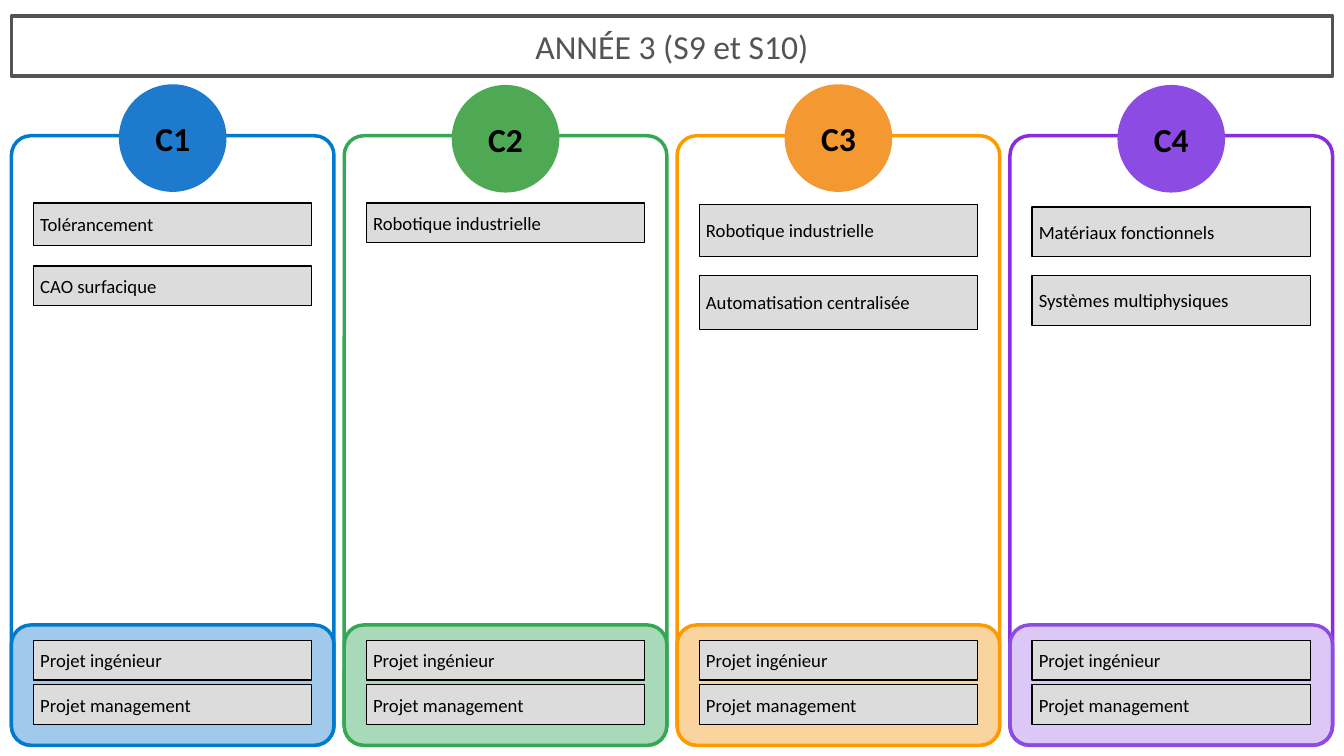
from lxml import etree
from pptx import Presentation
from pptx.dml.color import RGBColor
from pptx.enum.shapes import MSO_SHAPE
from pptx.enum.text import MSO_ANCHOR, MSO_AUTO_SIZE, PP_ALIGN
from pptx.oxml.ns import qn
from pptx.util import Pt

RECTANGLE = MSO_SHAPE.RECTANGLE
ROUNDED = MSO_SHAPE.ROUNDED_RECTANGLE
OVAL = MSO_SHAPE.OVAL
MIDDLE = MSO_ANCHOR.MIDDLE
NO_AUTOFIT = MSO_AUTO_SIZE.NONE
LEFT, CENTER = PP_ALIGN.LEFT, PP_ALIGN.CENTER

# Content: each course is (name, top, height)
TITLE = "ANNÉE 3 (S9 et S10)"
COLUMNS = [
    {"name": "C1", "badge": "1E7ACC", "frame": "007ACC", "panel": "A0C9EB",
     "panel_line": "007ACC", "alpha": 100, "badge_top": 127,
     "courses": [("Tolérancement", 302, 63), ("CAO surfacique", 396, 59)]},
    {"name": "C2", "badge": "4FA954", "frame": "34A853", "panel": "A8DAB9",
     "panel_line": "34A853", "alpha": 100, "badge_top": 128,
     "courses": [("Robotique industrielle", 302, 59)]},
    {"name": "C3", "badge": "F49831", "frame": "FF9900", "panel": "FAD49E",
     "panel_line": "FF9900", "alpha": 100, "badge_top": 127,
     "courses": [("Robotique industrielle", 304, 78),
                 ("Automatisation centralisée", 410, 80)]},
    {"name": "C4", "badge": "8C4BE2", "frame": "8A2BE2", "panel": "8C4BE2",
     "panel_line": "8C4BE2", "alpha": 30, "badge_top": 128,
     "courses": [("Matériaux fonctionnels", 308, 74),
                 ("Systèmes multiphysiques", 410, 74)]},
]
PROJECTS = [("Projet ingénieur", 953, 59), ("Projet management", 1019, 59)]

# Layout in px, 100 px to the inch
SCALE = 9144
PAGE_WIDTH, PAGE_HEIGHT = 2000, 1125
MARGIN = 17
COLUMN_WIDTH, COLUMN_TOP, COLUMN_BOTTOM = 480, 202, 1109
PANEL_TOP = 930
RADIUS = 29
BADGE_SIZE = 157
COURSE_WIDTH = 414
PITCH = (PAGE_WIDTH - 2 * MARGIN - COLUMN_WIDTH) / (len(COLUMNS) - 1)
FONT = "Calibri"


def emu(px):
    return round(px * SCALE)


def color(value):
    return RGBColor.from_string(value)


def set_line(shape, value, width):
    shape.line.color.rgb = color(value)
    shape.line.width = Pt(width)


def write(shape, text, size=20, value="000000", bold=False, align=LEFT, inset=None):
    frame = shape.text_frame
    frame.word_wrap = True
    frame.auto_size = NO_AUTOFIT
    frame.vertical_anchor = MIDDLE
    if inset is not None:
        frame.margin_left = frame.margin_right = emu(inset)
        frame.margin_top = frame.margin_bottom = emu(inset)
    para = frame.paragraphs[0]
    para.alignment = align
    span = para.add_run()
    span.text = text
    span.font.name = FONT
    span.font.size = Pt(size)
    span.font.bold = bold
    span.font.color.rgb = color(value)


def add_box(kind, left, top, width, height, line, line_width, fill=None, alpha=100):
    box = page.shapes.add_shape(kind, emu(left), emu(top), emu(width), emu(height))
    box.shadow.inherit = False
    set_line(box, line, line_width)
    if kind == ROUNDED:
        box.adjustments[0] = RADIUS / min(width, height)
    if fill is None:
        box.fill.background()
    else:
        box.fill.solid()
        box.fill.fore_color.rgb = color(fill)
    if alpha < 100:
        tint = box.fill._xPr.find(qn("a:solidFill"))[0]
        etree.SubElement(tint, qn("a:alpha")).set("val", str(alpha * 1000))
    return box


deck = Presentation()
deck.slide_width, deck.slide_height = emu(PAGE_WIDTH), emu(PAGE_HEIGHT)
page = deck.slides.add_slide(deck.slide_layouts[5])

# Title banner
title = page.shapes.title
title.left, title.top = emu(MARGIN), emu(24)
title.width, title.height = emu(PAGE_WIDTH - 2 * MARGIN), emu(89)
set_line(title, "545454", 3.75)
write(title, TITLE, size=36, value="545454", align=CENTER)

for index, column in enumerate(COLUMNS):
    left = MARGIN + index * PITCH

    # Column frame and its badge
    add_box(ROUNDED, left, COLUMN_TOP, COLUMN_WIDTH, COLUMN_BOTTOM - COLUMN_TOP,
            column["frame"], 3.75)
    badge = add_box(OVAL, left + (COLUMN_WIDTH - BADGE_SIZE) / 2, column["badge_top"],
                    BADGE_SIZE, BADGE_SIZE, column["badge"], 2.25, column["badge"])
    write(badge, column["name"], size=36, bold=True, align=CENTER, inset=0)

    # Project panel at the foot
    add_box(ROUNDED, left, PANEL_TOP, COLUMN_WIDTH, COLUMN_BOTTOM - PANEL_TOP,
            column["panel_line"], 3.75, column["panel"], column["alpha"])

    # Courses and projects
    for name, top, height in column["courses"] + PROJECTS:
        course = add_box(RECTANGLE, left + (COLUMN_WIDTH - COURSE_WIDTH) / 2, top,
                         COURSE_WIDTH, height, "000000", 1.5, "DDDCDC")
        write(course, name)

deck.save("out.pptx")
